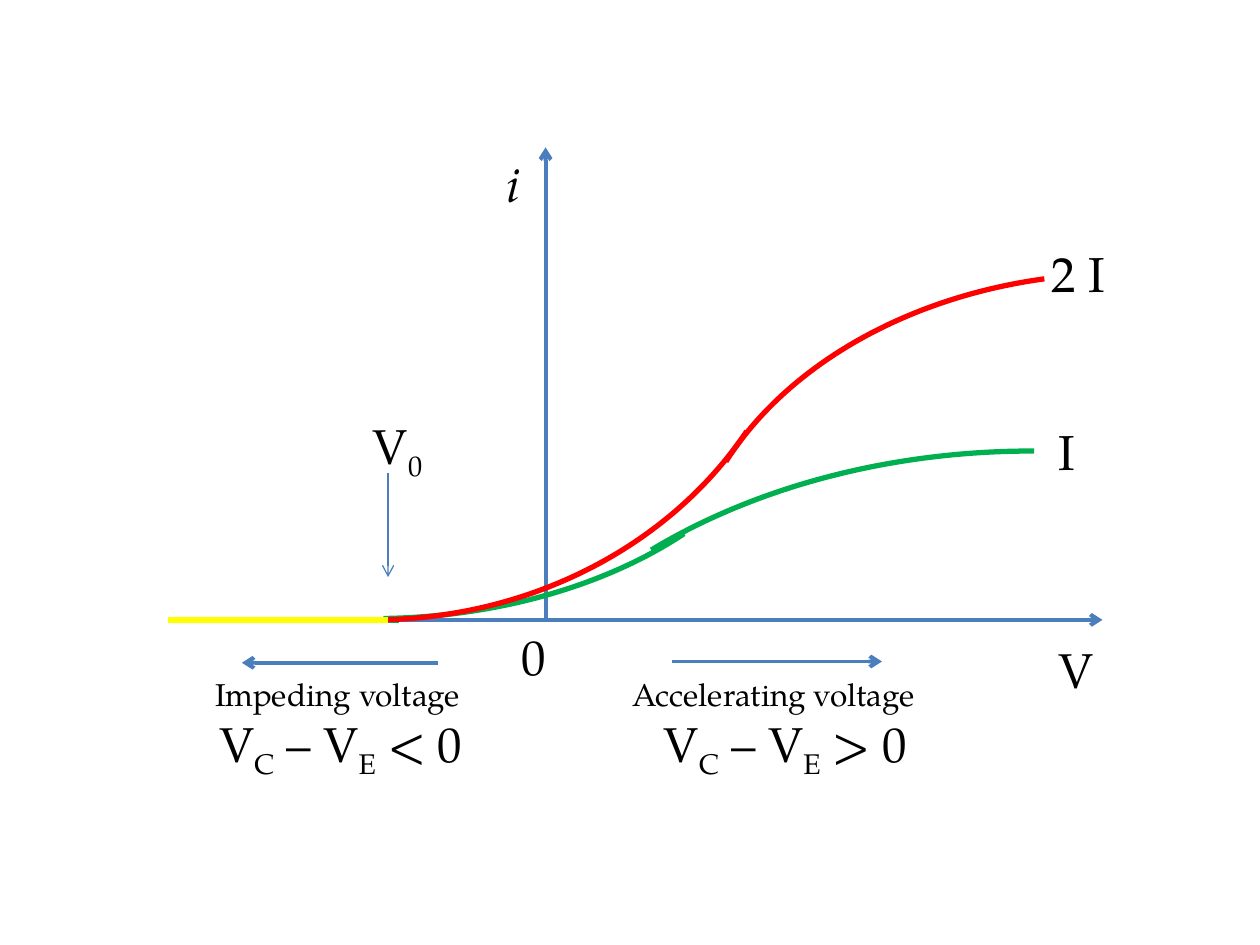
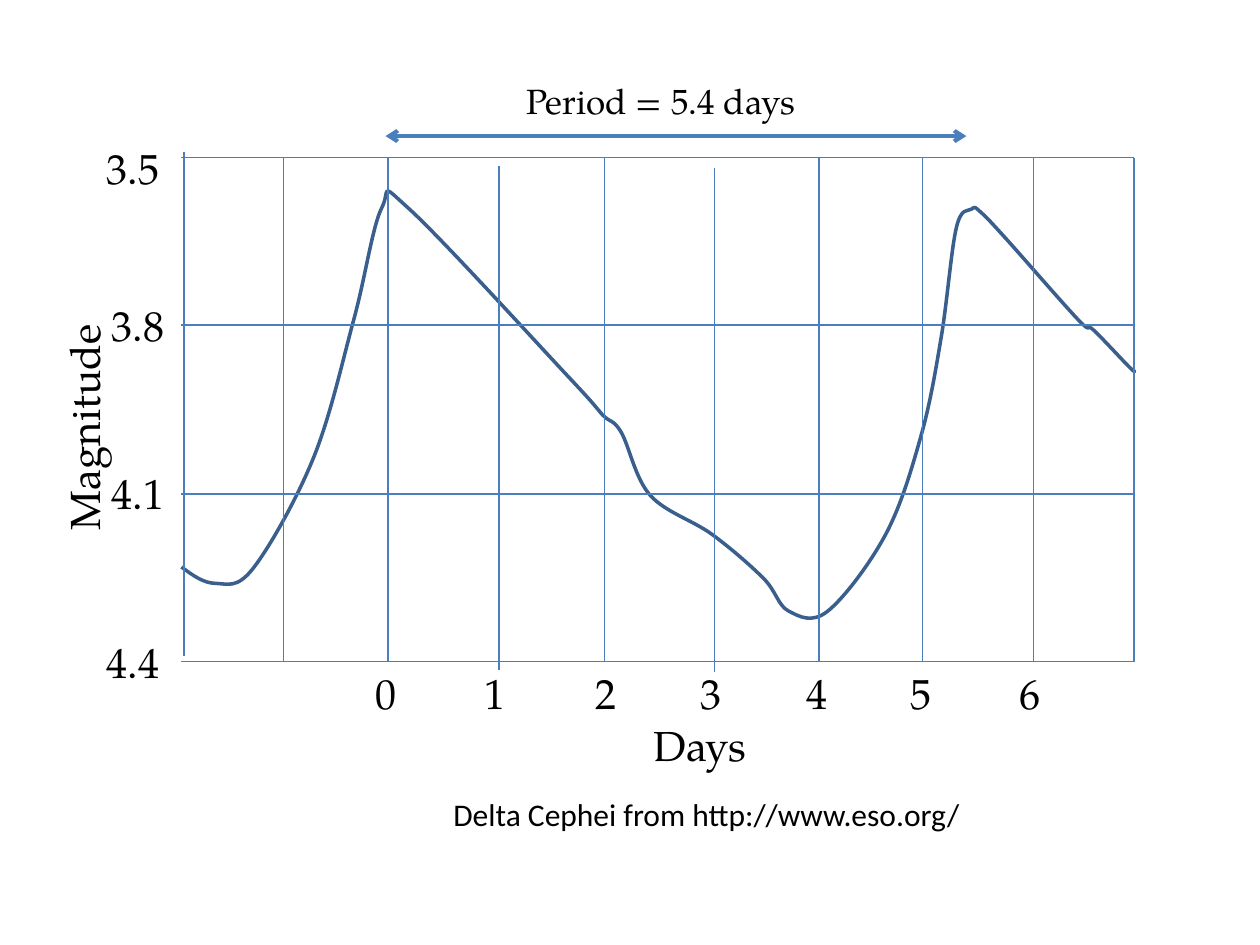
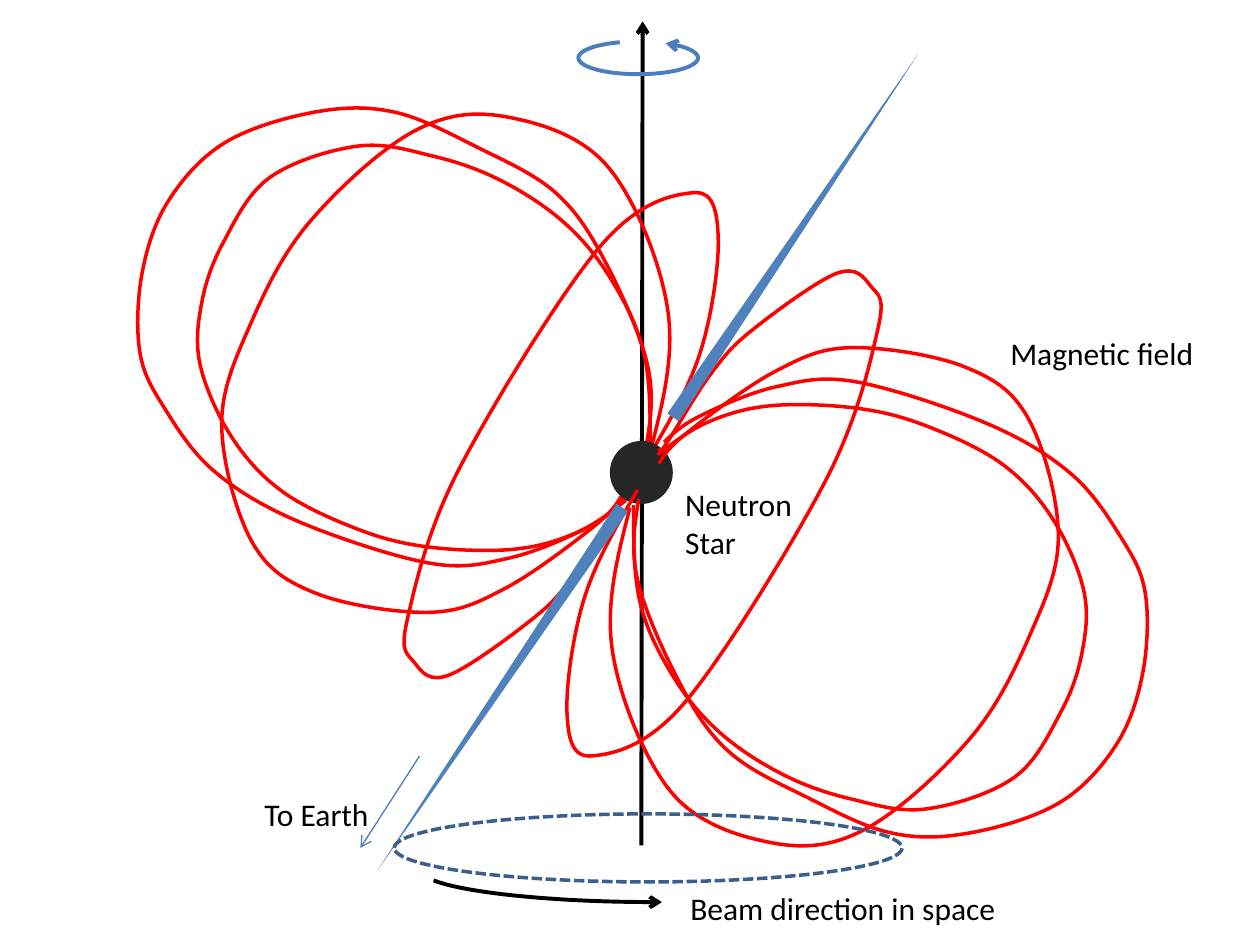
from lxml.etree import SubElement as Sub
from pptx import Presentation
from pptx.dml.color import RGBColor as RGB
from pptx.enum.dml import MSO_LINE as DASH
from pptx.enum.shapes import MSO_CONNECTOR as CONN, MSO_SHAPE as SHAPE
from pptx.enum.text import MSO_AUTO_SIZE as AUTO
from pptx.oxml.ns import qn
from pptx.util import Inches, Pt

BLUE, NAVY, BEAM, RED, GREEN, YELLOW, BLACK, COAL = (
    "4B7EBC", "3A5F8C", "4F81BD", "FF0000", "00B050", "FFFF00", "000000", "262626")
SERIF, SANS = "TeX Gyre Pagella", "Calibri"

LIGHT = [
    (1.44, 4.5), (1.71, 4.63), (2.01, 4.51), (2.49, 3.63), (2.81, 2.53), (3.03, 1.65),
    (3.25, 1.66), (4.53, 3.01), (4.78, 3.29), (4.93, 3.43), (5.16, 3.93), (5.65, 4.24),
    (6.06, 4.59), (6.26, 4.85), (6.57, 4.85), (7.03, 4.24), (7.31, 3.46), (7.47, 2.68),
    (7.59, 1.81), (7.71, 1.66), (7.78, 1.68), (7.99, 1.9), (8.56, 2.54), (8.68, 2.62),
    (8.96, 2.91), (9, 2.94)]

LOOPS = [
    [(5.14, 3.64), (5.56, 2.79), (5.7, 1.87), (5.5, 1.53), (4.76, 1.96), (3.64, 3.73),
     (3.23, 4.93), (3.29, 5.26), (3.56, 5.36), (4.23, 4.91), (4.56, 4.56), (4.91, 4.01),
     (4.96, 3.97)],
    [(5.16, 3.59), (5.3, 2.46), (4.83, 1.33), (4.03, 0.93), (3.29, 1.04), (2.46, 1.76),
     (1.99, 2.57), (1.76, 3.37), (2, 4.3), (2.51, 4.71), (3.41, 4.86), (4.01, 4.67),
     (4.7, 4.19), (4.93, 3.94)],
    [(5.16, 3.57), (5.11, 2.8), (4.84, 2.2), (4.47, 1.76), (3.97, 1.43), (3.44, 1.24),
     (2.84, 1.16), (2.14, 1.41), (1.77, 1.93), (1.6, 2.41), (1.59, 2.9), (1.84, 3.47),
     (2.24, 3.9), (2.84, 4.2), (3.39, 4.34), (4.07, 4.36), (4.57, 4.23), (4.97, 3.97)],
    [(5.13, 3.54), (5.14, 2.9), (4.8, 2.07), (4.41, 1.53), (3.79, 1.17), (3.13, 0.89),
     (2.5, 0.89), (1.79, 1.13), (1.34, 1.59), (1.13, 2.16), (1.11, 2.79), (1.3, 3.23),
     (1.7, 3.74), (2.37, 4.14), (3.41, 4.47), (4.04, 4.43), (4.64, 4.2), (4.93, 3.99)]]
TURNS = [(10.2, 7.53), (10.16, 7.62), (10.19, 7.58), (10.2, 7.5)]


def tint(code):
    """Turn a hex string into a colour."""
    return RGB.from_string(code)


def stroke(item, color, width, head=False, tail=False):
    """Set the line of a shape or connector, with open arrowheads."""
    item.line.color.rgb = tint(color)
    item.line.width = Pt(width)
    for name, wanted in (("a:headEnd", head), ("a:tailEnd", tail)):
        if wanted:
            Sub(item.line._get_or_add_ln(), qn(name), type="arrow")


def rule(slide, start, end, color=BLUE, width=0.75, head=False, tail=False):
    """Draw a straight line between two points."""
    line = slide.shapes.add_connector(CONN.STRAIGHT, *map(Inches, start + end))
    stroke(line, color, width, head, tail)
    Sub(line._element.spPr, qn("a:effectLst"))


def form(slide, kind, box, fill=None, turn=0):
    """Add a preset shape without outline or shadow."""
    shape = slide.shapes.add_shape(kind, *map(Inches, box))
    shape.shadow.inherit = False
    shape.rotation = turn
    shape.line.fill.background()
    if fill:
        shape.fill.solid()
        shape.fill.fore_color.rgb = tint(fill)
    else:
        shape.fill.background()
    return shape


def arc(slide, box, start, end, color, width, flip=False, head=False):
    """Draw an arc between two angles in degrees."""
    shape = form(slide, SHAPE.ARC, box)
    shape.adjustments[0], shape.adjustments[1] = start * 0.6, end * 0.6
    if flip:
        frame = shape._element.spPr.find(qn("a:xfrm"))
        frame.set("flipH", "1")
        frame.set("flipV", "1")
    stroke(shape, color, width, head)


def mid(a, b):
    """Return the point halfway between two points."""
    return (a[0] + b[0]) / 2, (a[1] + b[1]) / 2


def lean(knot, back, front):
    """Shift a knot by a sixth of the step from back to front."""
    return tuple(k + (f - b) / 6 for k, b, f in zip(knot, back, front))


def smooth(knots):
    """Return the first knot, then two handles and a knot for each bend."""
    last = len(knots) - 2
    points = [knots[0]]
    for n in range(last + 1):
        a, d = knots[n], knots[n + 1]
        b = lean(a, knots[n - 1], d) if n else None
        c = lean(d, knots[n + 2], a) if n < last else mid(b, d)
        points += [b or mid(a, c), c, d]
    return points


def curve(slide, knots, color):
    """Draw a smooth open curve through the knots."""
    points = [(Inches(x), Inches(y)) for x, y in smooth(knots)]
    pen = slide.shapes.build_freeform(*points[0])
    pen.add_line_segments(points[1:], close=False)
    shape = pen.convert_to_shape()
    trail = next(shape._element.iter(qn("a:path")))
    for n, leg in enumerate(trail.findall(qn("a:lnTo"))):
        if n % 3 == 0:
            bend = Sub(trail, qn("a:cubicBezTo"))
        bend.append(leg[0])
        trail.remove(leg)
    shape.shadow.inherit = False
    shape.fill.background()
    stroke(shape, color, 2)


def label(slide, text, box, size=18, face=SERIF, italic=False, turn=0, wrap=False):
    """Add text; bars part the runs, and every second run is a subscript."""
    item = slide.shapes.add_textbox(*map(Inches, box))
    item.rotation = turn
    frame = item.text_frame
    frame.word_wrap = wrap
    frame.auto_size = AUTO.SHAPE_TO_FIT_TEXT
    for row, words in enumerate(text.split("\n")):
        para = frame.add_paragraph() if row else frame.paragraphs[0]
        for n, part in enumerate(words.split("|")):
            run = para.add_run()
            run.text = part
            font = run.font
            font.name, font.size, font.italic = face, Pt(size), italic
            font.color.rgb = tint(BLACK)
            if n % 2:
                font._element.set("baseline", "-25000")


def photo(slide):
    """Draw the current against voltage for two light levels."""
    for start, end in (((4.33, 4.92), (4.33, 1.17)), ((1.42, 4.92), (8.75, 4.92)),
                       ((5.33, 5.25), (7, 5.25)), ((3.48, 5.26), (1.92, 5.26))):
        rule(slide, start, end, width=2.25, tail=True)
    label(slide, "Impeding voltage", (1.61, 5.31, 2.19, 0.4))
    label(slide, "Accelerating voltage", (4.92, 5.31, 2.49, 0.4))
    rule(slide, (1.42, 4.92), (3.17, 4.92), GREEN, 3)
    arc(slide, (-0.5, 0.41, 6.92, 4.5), 32.55, 87.87, GREEN, 3)
    arc(slide, (3.58, 3.58, 9.22, 6.42), 38.75, 90.31, GREEN, 3, flip=True)
    arc(slide, (-0.5, -1.25, 6.92, 6.17), 28.15, 87.87, RED, 3)
    arc(slide, (5.42, 2.17, 7, 5.25), 19.72, 76.27, RED, 3, flip=True)
    rule(slide, (1.33, 4.92), (3.08, 4.92), YELLOW, 3)
    rule(slide, (3.08, 3.75), (3.08, 4.58), tail=True)
    for text, x, y, w in (
            ("V|0", 2.86, 3.25, 0.62), ("V", 8.3, 5.03, 0.49), ("i", 3.92, 1.17, 0.32),
            ("I", 8.3, 3.3, 0.33), ("2 I", 8.25, 1.88, 0.63), ("0", 4.04, 4.92, 0.4),
            ("V|C| – V|E| > 0", 5.17, 5.61, 2.14),
            ("V|C| – V|E| < 0", 1.64, 5.61, 2.14)):
        label(slide, text, (x, y, w, 0.57), 28, italic=text == "i")


def cepheid(slide):
    """Draw the light curve of a variable star on its grid."""
    label(slide, "Delta Cephei from http://www.eso.org/", (3.5, 6.26, 4.75, 0.4),
          face=SANS, wrap=True)
    curve(slide, LIGHT, NAVY)
    tops = {1.46: 1.21, 3.96: 1.32, 5.67: 1.33}
    for x in (1.46, 2.25, 3.08, 3.96, 4.8, 5.67, 6.5, 7.32, 8.2, 9):
        top = tops.get(x, 1.25)
        rule(slide, (x, top), (x, top + 4))
    for y in (1.25, 2.58, 3.92, 5.25):
        rule(slide, (1.44, y), (9, y))
    for text, x, y in (("4.4", 0.75, 5), ("4.1", 0.79, 3.66),
                       ("3.8", 0.79, 2.33), ("3.5", 0.75, 1.08)):
        label(slide, text, (x, y, 0.62, 0.5), 24)
    for day, x in enumerate((2.88, 3.75, 4.63, 5.46, 6.3, 7.13, 7.99)):
        label(slide, str(day), (x, 5.25, 0.37, 0.5), 24)
    label(slide, "Days", (5.09, 5.66, 0.96, 0.5), 24)
    label(slide, "Magnitude", (-0.26, 3.13, 1.85, 0.5), 24, turn=270)
    rule(slide, (3.06, 1.08), (7.67, 1.08), width=2.25, head=True, tail=True)
    label(slide, "Period = 5.4 days", (4.08, 0.58, 2.34, 0.44), 20)


def pulsar(slide):
    """Draw a spinning neutron star with its field and beams."""
    rule(slide, (5.09, 6.71), (5.1, 0.17), BLACK, 2.25, tail=True)
    for loop in LOOPS:
        curve(slide, loop, RED)
    form(slide, SHAPE.OVAL, (4.84, 3.5, 0.5, 0.5), COAL)
    for loop, (across, down) in zip(LOOPS, TURNS):
        curve(slide, [(across - x, down - y) for x, y in loop], RED)
    arc(slide, (4.59, 0.33, 0.95, 0.26), 332.1, 220.25, BLUE, 2.25, head=True)
    for x, y, turn in ((6.26, 0.13, 34), (3.91, 3.73, 214)):
        form(slide, SHAPE.ISOSCELES_TRIANGLE, (x, y, 0.11, 3.48), BEAM, turn)
    sweep = form(slide, SHAPE.OVAL, (3.13, 6.46, 4.03, 0.54))
    stroke(sweep, NAVY, 2)
    sweep.line.dash_style = DASH.SQUARE_DOT
    arc(slide, (3.33, 6.64, 3.8, 0.52), 84.78, 177.18, BLACK, 2.25, head=True)
    for text, box in (("To Earth", (2, 6.26, 1.04, 0.4)),
                      ("Beam direction in space", (5.38, 7.01, 2.65, 0.4)),
                      ("Neutron\nStar", (5.34, 3.8, 1.06, 0.71)),
                      ("Magnetic field", (7.92, 2.6, 1.67, 0.4))):
        label(slide, text, box, face=SANS)
    rule(slide, (3.33, 6), (2.86, 6.73), tail=True)


def main():
    """Build the three slides and save them."""
    deck = Presentation()
    deck.slide_width, deck.slide_height = Inches(10), Inches(7.5)
    for draw in (photo, cepheid, pulsar):
        draw(deck.slides.add_slide(deck.slide_layouts[6]))
    deck.save("out.pptx")


if __name__ == "__main__":
    main()
